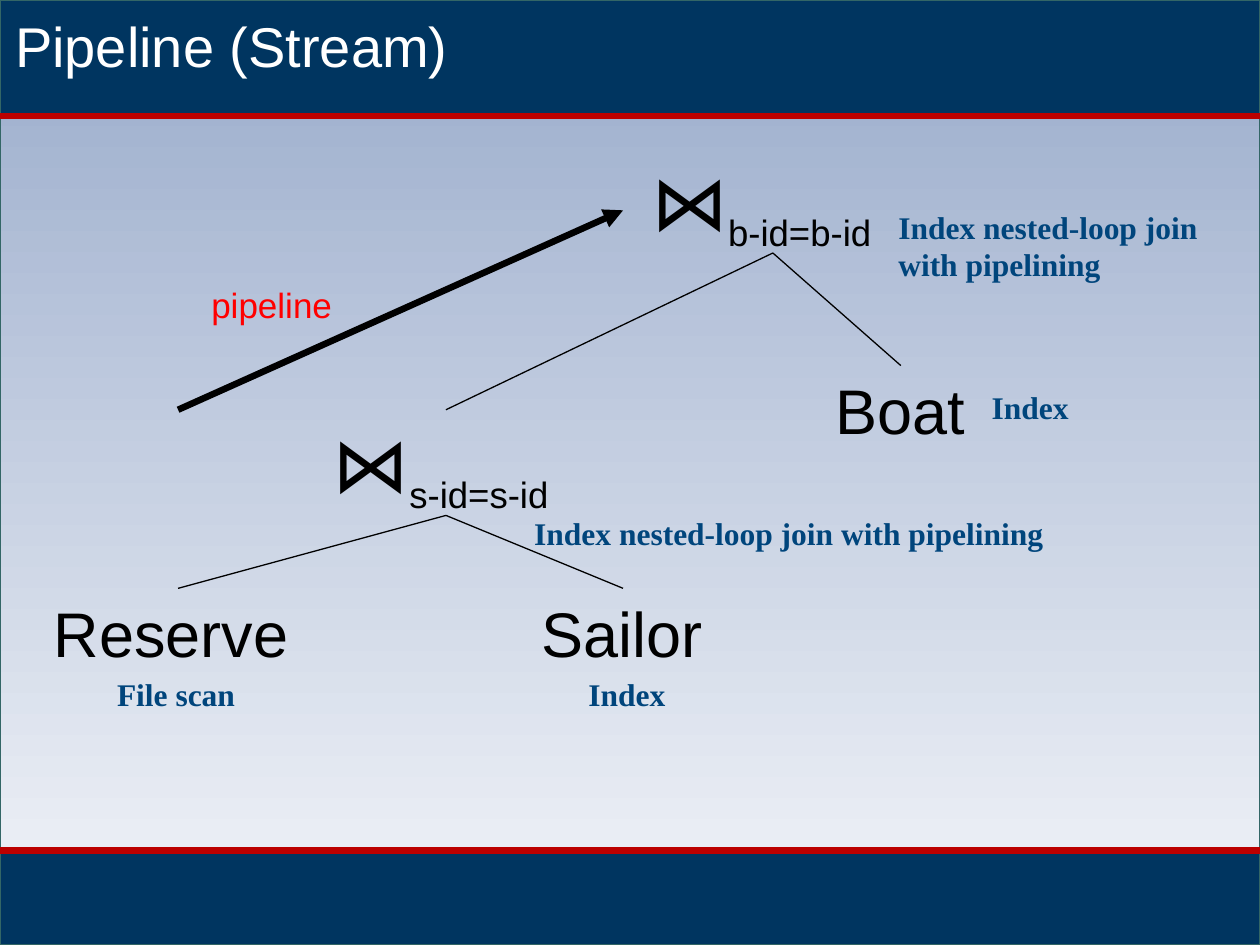
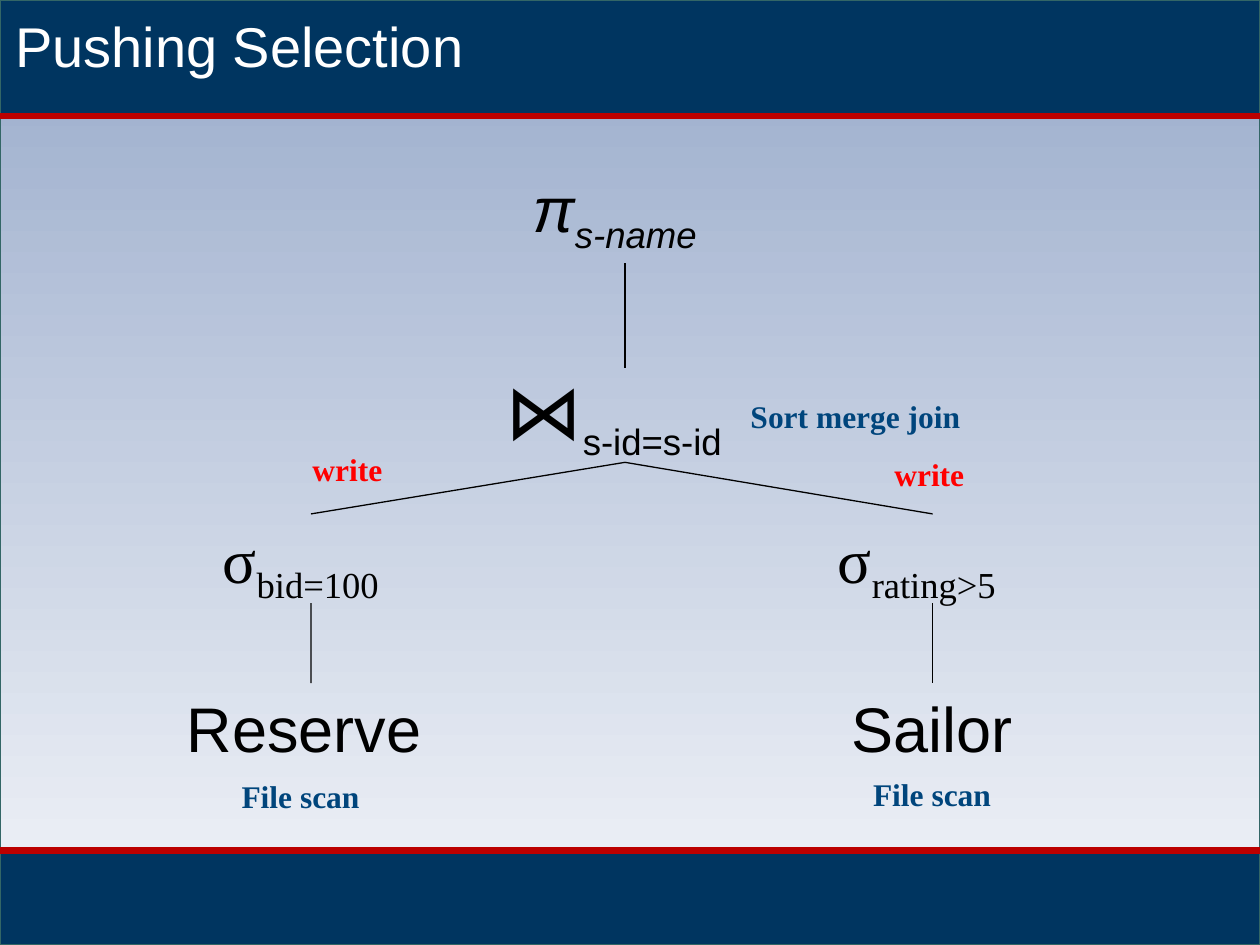
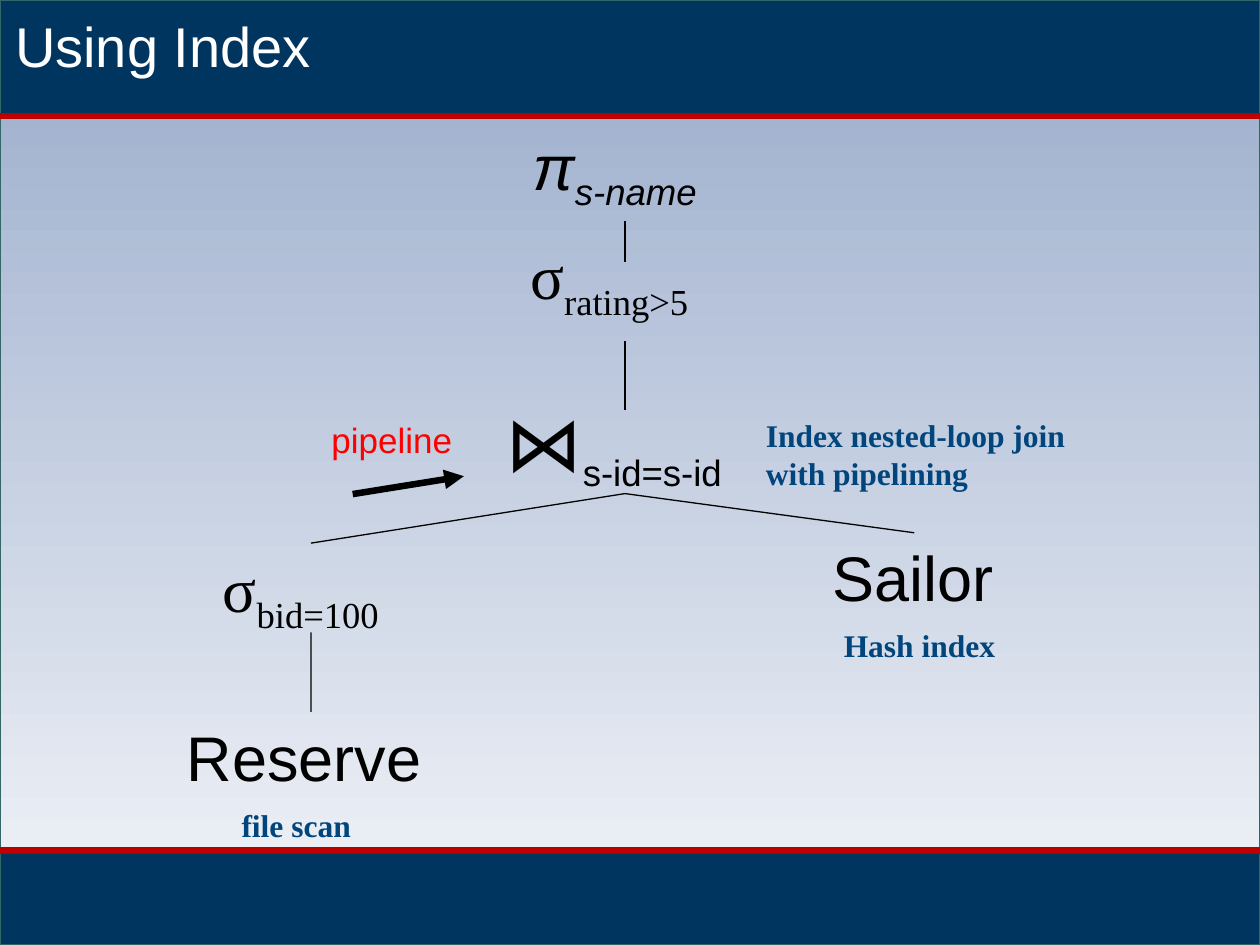
from pptx import Presentation
from pptx.dml.color import RGBColor
from pptx.enum.shapes import MSO_CONNECTOR, MSO_SHAPE
from pptx.enum.text import MSO_ANCHOR, MSO_AUTO_SIZE, PP_ALIGN
from pptx.oxml.ns import qn
from pptx.util import Cm, Pt
from lxml import etree

LINE = MSO_CONNECTOR.STRAIGHT
RECT = MSO_SHAPE.RECTANGLE
TOP, LEFT = MSO_ANCHOR.TOP, PP_ALIGN.LEFT
GROW, FIXED = MSO_AUTO_SIZE.SHAPE_TO_FIT_TEXT, MSO_AUTO_SIZE.NONE

WIDE, HIGH = 25.4, 19.05
HEAD, FOOT = 2.34, 17.15
BODY = (0, HEAD)
NAVY, RED, EDGE = "003560", "BC0000", "336666"
BLACK, WHITE, BLUE, ALERT = "000000", "FFFFFF", "00457C", "FF0000"
SANS, SERIF = "Arial", "Times New Roman"

# Tree nodes: symbol, subscript, width, height, format
NODES = {
    "reserve": ("Reserve", "", 5.51, 1.8, {}),
    "sailor": ("Sailor", "", 3.78, 1.8, {}),
    "boat": ("Boat", "", 3.15, 1.8, {}),
    "sid": ("⋈", "s-id=s-id", 5.31, 2.13, {"size": 44}),
    "bid": ("⋈", "b-id=b-id", 5.41, 2.13, {"size": 44}),
    "name": ("π", "s-name", 4.22, 1.8, {"italic": True}),
    "rating": ("σ", "rating>5", 4.32, 1.8, {"font": SERIF}),
    "hundred": ("σ", "bid=100", 4.06, 1.8, {"font": SERIF}),
}


def paint(hue):
    return RGBColor.from_string(hue)


def text(frame, words, sub="", size=36, font=SANS, hue=BLACK,
         bold=False, italic=False, wrap=False, fit=GROW):
    """Fill a frame, one paragraph per line, with an optional subscript."""
    frame.word_wrap, frame.auto_size = wrap, fit
    frame.vertical_anchor = TOP
    for i, row in enumerate(words.split("\n")):
        para = frame.paragraphs[0] if i == 0 else frame.add_paragraph()
        para.alignment = LEFT
        for part, base in ((row, None), (sub, "-25000")):
            if not part:
                continue
            run = para.add_run()
            run.text = part
            face = run.font
            face.size = Pt(36 if base else size)
            face.name, face.bold, face.italic = font, bold, italic
            face.color.rgb = paint(hue)
            if base:
                run._r.get_or_add_rPr().set("baseline", base)


def line(slide, start, end, hue=BLACK, width=0.75, arrow=False, box=(0, 0)):
    x, y = box
    rule = slide.shapes.add_connector(
        LINE, Cm(x + start[0]), Cm(y + start[1]), Cm(x + end[0]), Cm(y + end[1]))
    rule.line.color.rgb = paint(hue)
    rule.line.width = Pt(width)
    props = rule._element.spPr
    if arrow:
        etree.SubElement(props.find(qn("a:ln")), qn("a:tailEnd"), type="triangle")
    etree.SubElement(props, qn("a:effectLst"))
    return rule


def link(slide, upper, *lowers):
    """Join the foot of one node to the head of each node below it."""
    for lower in lowers:
        rule = line(slide, (0, 0), (1, 1))
        rule.begin_connect(upper, 2)
        rule.end_connect(lower, 0)


def node(slide, box, key, mid, top, width=None):
    words, sub, wide, high, form = NODES[key]
    wide = width or wide
    shape = slide.shapes.add_textbox(
        Cm(box[0] + mid - wide / 2), Cm(box[1] + top), Cm(wide), Cm(high))
    text(shape.text_frame, words, sub, **form)
    return shape


def note(slide, box, words, left, top, width, high=1.02, **form):
    form = {"size": 18, "font": SERIF, "hue": BLUE, "bold": True, **form}
    shape = slide.shapes.add_textbox(
        Cm(box[0] + left), Cm(box[1] + top), Cm(width), Cm(high))
    text(shape.text_frame, words, **form)


def flow(slide, box, spot, start, end):
    """Pipeline arrow with its label."""
    line(slide, start, end, width=3.75, arrow=True, box=box)
    note(slide, box, "pipeline", *spot, 2.97, 1.12,
         size=20, font=SANS, hue=ALERT, bold=False)


# Shared background, bands and rules
def band(slide, top, high):
    shape = slide.shapes.add_shape(RECT, 0, Cm(top), Cm(WIDE), Cm(high))
    shape.shadow.inherit = False
    shape.fill.solid()
    shape.fill.fore_color.rgb = paint(NAVY)
    shape.line.color.rgb = paint(EDGE)
    shape.line.width = Pt(0.75)
    return shape


def frame(slide):
    """Draw the shared parts and move them to the slide's layout."""
    back = band(slide, 0, HIGH)
    back.fill.gradient()
    back.fill.gradient_angle = 270
    for stop, hue in zip(back.fill.gradient_stops, ("99ABCB", "F3F5F9")):
        stop.color.rgb = paint(hue)
    parts = [back, band(slide, FOOT, HIGH - FOOT), band(slide, 0, HEAD)]
    parts += [line(slide, (0, y), (WIDE, y), RED, 3.75) for y in (HEAD, FOOT)]
    first = slide.slide_layout.placeholders[0].element
    for part in parts:
        first.addprevious(part.element)


def page(deck, words):
    slide = deck.slides.add_slide(deck.slide_layouts[5])
    title = slide.shapes.title
    title.left, title.top = Cm(0.05), Cm(0)
    title.width, title.height = Cm(25.35), Cm(1.63)
    title.text_frame.margin_top = Cm(0.24)
    text(title.text_frame, words, size=32, hue=WHITE, wrap=True, fit=FIXED)
    return slide


# Slide bodies
def stream(slide, box):
    low = node(slide, box, "sid", 8.99, 5.92, 5.08)
    high = node(slide, box, "bid", 15.58, 0.63)
    left = node(slide, box, "reserve", 3.59, 9.52)
    right = node(slide, box, "sailor", 12.56, 9.52)
    boat = node(slide, box, "boat", 18.16, 5.03)
    link(slide, low, left, right)
    link(slide, high, low, boat)
    note(slide, box, "Index", 11.61, 11.15, 2.08)
    note(slide, box, "Index", 19.74, 5.36, 2.08)
    note(slide, box, "File scan", 2.11, 11.15, 2.92)
    flow(slide, box, (4.01, 3.25), (3.59, 5.92), (12.56, 1.9))
    note(slide, box, "Index nested-loop join with pipelining",
         10.52, 7.9, 12.17, wrap=True)
    note(slide, box, "Index nested-loop join\nwith pipelining",
         17.86, 1.72, 6.6, 1.8)


def push(slide, box):
    mid, west, east = 12.6, 6.27, 18.8
    node(slide, box, "name", mid, 0.96)
    join = node(slide, box, "sid", mid, 4.85)
    line(slide, (mid, 2.97), (mid, 5.08), box=box)
    sides = ((west, "hundred", "reserve"), (east, "rating", "sailor"))
    for x, pick, leaf in sides:
        sift = node(slide, box, pick, x, 8.02)
        link(slide, join, sift)
        link(slide, sift, node(slide, box, leaf, x, 11.43))
    note(slide, box, "File scan", 4.62, 13.2, 2.92)
    note(slide, box, "File scan", 17.35, 13.15, 2.92)
    note(slide, box, "write", 6.05, 6.6, 1.93, hue=ALERT)
    note(slide, box, "write", 17.78, 6.7, 1.93, hue=ALERT)
    note(slide, box, "Sort merge join", 14.88, 5.53, 4.78)


def index(slide, box):
    mid, west, east = 12.6, 6.27, 18.43
    node(slide, box, "name", mid, 0.1)
    node(slide, box, "rating", mid, 2.31)
    join = node(slide, box, "sid", mid, 5.48)
    for top, foot in ((2.11, 2.94), (4.54, 5.92)):
        line(slide, (mid, top), (mid, foot), box=box)
    sift = node(slide, box, "hundred", west, 8.61)
    link(slide, join, sift, node(slide, box, "sailor", east, 8.4))
    link(slide, sift, node(slide, box, "reserve", west, 12.01))
    note(slide, box, "file scan", 4.62, 13.79, 2.74)
    note(slide, box, "Hash index", 16.76, 10.16, 3.61)
    note(slide, box, "Index nested-loop join\nwith pipelining",
         15.19, 5.92, 6.93, 1.8)
    flow(slide, box, (6.43, 5.97), (7.11, 7.62), (9.35, 7.26))


def main():
    deck = Presentation()
    deck.slide_width, deck.slide_height = Cm(WIDE), Cm(HIGH)
    bodies = (("Pipeline (Stream)", stream),
              ("Pushing Selection", push),
              ("Using Index", index))
    for i, (words, body) in enumerate(bodies):
        slide = page(deck, words)
        if i == 0:
            frame(slide)
        body(slide, BODY)
    deck.save("out.pptx")


if __name__ == "__main__":
    main()
